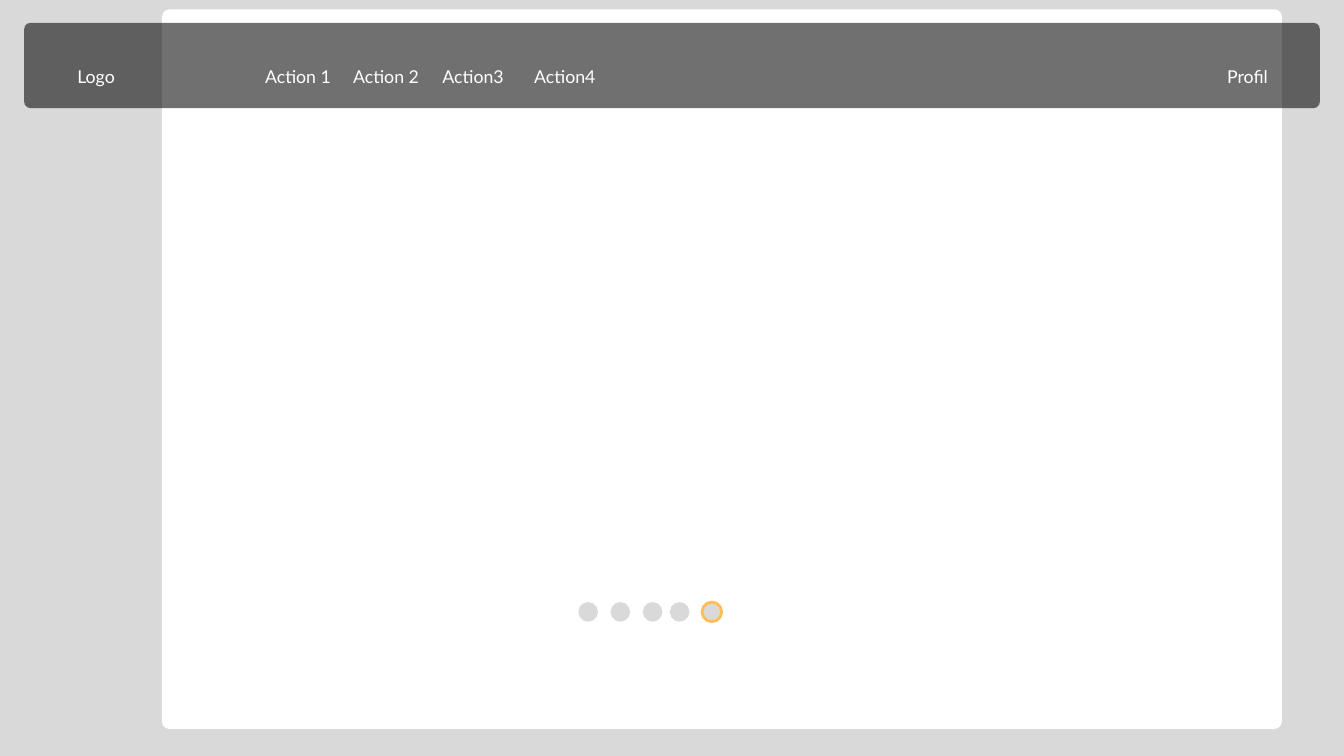
from pptx import Presentation
from pptx.dml.color import RGBColor
from pptx.enum.shapes import MSO_SHAPE as SHAPE
from pptx.enum.text import PP_ALIGN as ALIGN
from pptx.oxml.ns import qn
from pptx.util import Pt
from lxml import etree

COLORS = {"page": "D9D9D9", "panel": "FFFFFF", "bar": "000000",
          "label": "FFFFFF", "dot": "D9D9D9", "active": "FFBD59"}
FONT = "Lato"

# Label, left offset in the bar, width
MENU = [("Logo", 54.7, 44.6), ("Action 1 ", 256.3, 79.2),
        ("Action 2 ", 350.6, 79.2), ("Action3", 445.7, 70.6),
        ("Action4", 543.6, 71.3), ("Profil", 1285.9, 49.7)]
DOT_OFFSETS = [0, 34.5, 69, 98, 132.5]


def color(name):
    return RGBColor.from_string(COLORS[name])


def add_filled(slide, preset, box, fill):
    left, top, width, height = box
    shape = slide.shapes.add_shape(preset, Pt(left), Pt(top), Pt(width), Pt(height))
    shape.shadow.inherit = False
    shape.fill.solid()
    shape.fill.fore_color.rgb = color(fill)
    shape.line.fill.background()
    return shape


def add_rounded(slide, box, fill, radius):
    shape = add_filled(slide, SHAPE.ROUNDED_RECTANGLE, box, fill)
    shape.adjustments[0] = radius / min(box[2:])
    return shape


def add_label(slide, text, left, top, width):
    frame = slide.shapes.add_textbox(Pt(left), Pt(top), Pt(width), Pt(25)).text_frame
    frame.margin_left = frame.margin_right = 0
    frame.margin_top = frame.margin_bottom = 0
    frame.word_wrap = True
    paragraph = frame.paragraphs[0]
    paragraph.alignment = ALIGN.CENTER
    paragraph.line_spacing = Pt(26.6)
    run = paragraph.add_run()
    run.text = text
    run.font.name = FONT
    run.font.size = Pt(19)
    run.font.color.rgb = color("label")


def add_nav_bar(slide, box):
    bar = add_rounded(slide, box, "bar", 6.7)
    # 56 % opacity
    fill_color = bar.fill._xPr.find(qn("a:solidFill"))[0]
    etree.SubElement(fill_color, qn("a:alpha")).set("val", "56000")
    left, top = box[:2]
    for text, offset, width in MENU:
        add_label(slide, text, left + offset, top + 42.5, width)


def add_pager(slide, box):
    left, top, _, size = box
    for offset in DOT_OFFSETS:
        dot = add_filled(slide, SHAPE.OVAL, (left + offset, top, size, size), "dot")
    # The last dot is the current page
    dot.line.color.rgb = color("active")
    dot.line.width = Pt(3)


def main():
    deck = Presentation()
    deck.slide_width, deck.slide_height = Pt(1440), Pt(810)
    slide = deck.slides.add_slide(deck.slide_layouts[6])
    slide.background.fill.solid()
    slide.background.fill.fore_color.rgb = color("page")

    # Content panel, navigation, page dots
    add_rounded(slide, (173.5, 10, 1200, 771), "panel", 7.9)
    add_nav_bar(slide, (25.9, 24.5, 1388.2, 91.4))
    add_pager(slide, (619.7, 645.1, 153.5, 21))

    deck.save("out.pptx")


if __name__ == "__main__":
    main()
